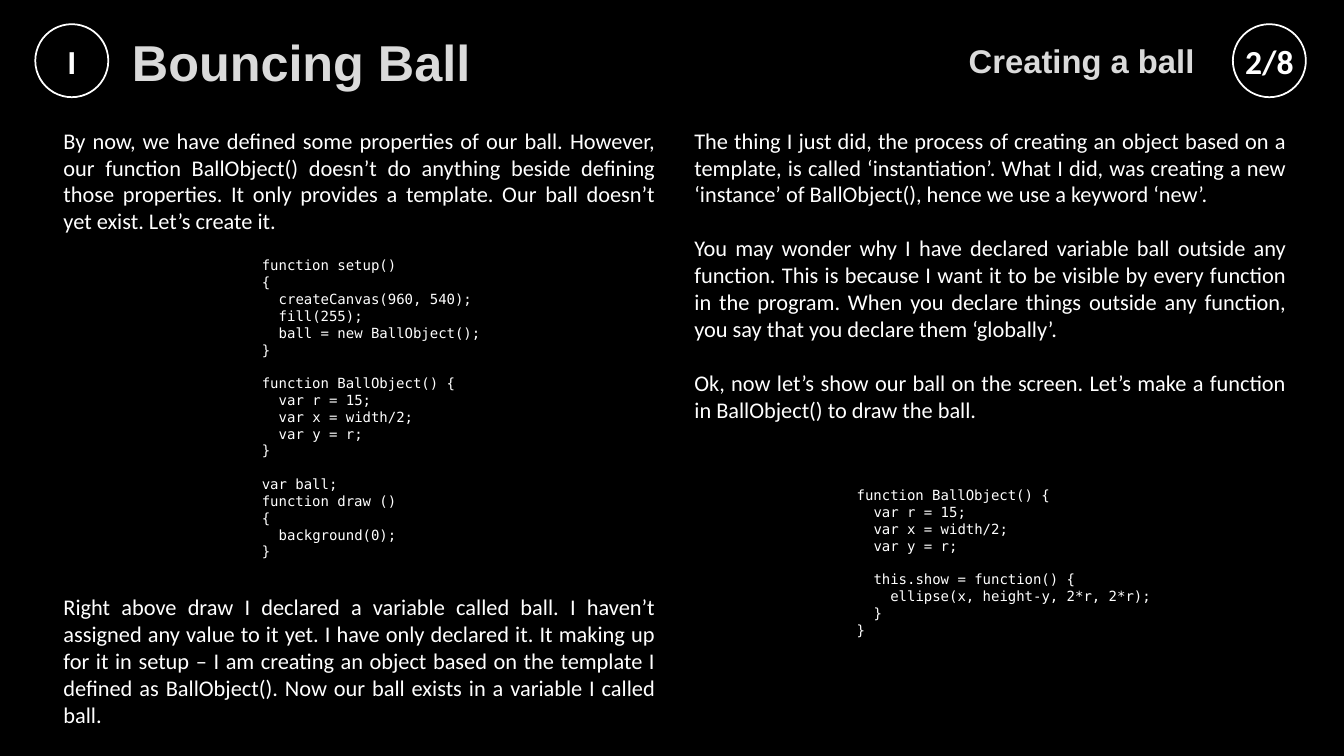
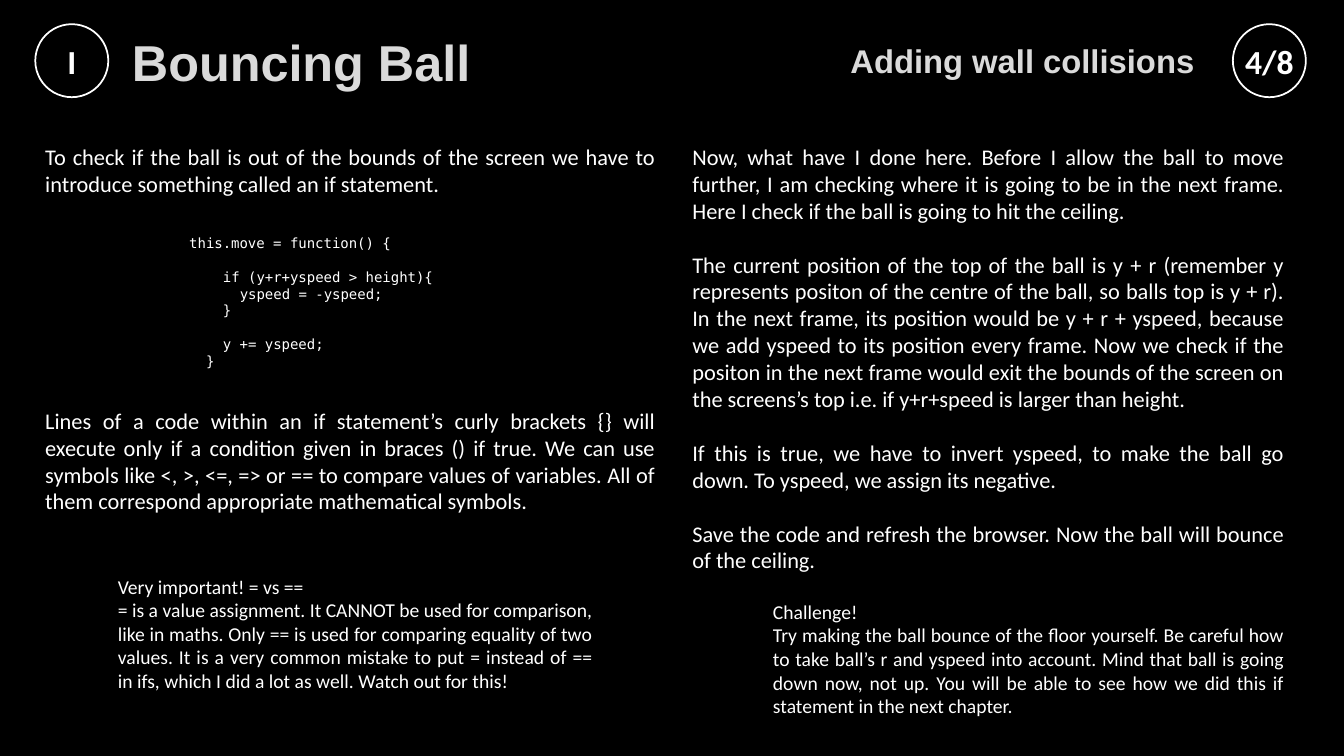
"""Build two lesson slides about a bouncing ball."""
import pptx
import pptx.dml.color
import pptx.enum.shapes
import pptx.enum.text
import pptx.util

Cm = pptx.util.Cm
Pt = pptx.util.Pt
Align = pptx.enum.text.PP_ALIGN
Fit = pptx.enum.text.MSO_AUTO_SIZE
Anchor = pptx.enum.text.MSO_ANCHOR

COLORS = {"back": "000000", "text": "FFFFFF", "head": "DADADA"}
HEAD, BODY, CODE = "Arial", "Calibri", "DejaVu Sans Mono"
CODE_STEP = Pt(6.02)
CODE_GAP = Pt(12)
BODY_GAP = Pt(19.3)

SETUP = """function setup()
{
  createCanvas(960, 540);
  fill(255);
  ball = new BallObject();
}

function BallObject() {
  var r = 15;
  var x = width/2;
  var y = r;
}

var ball;
function draw ()
{
  background(0);
}"""

SHOW = """function BallObject() {
  var r = 15;
  var x = width/2;
  var y = r;

  this.show = function() {
    ellipse(x, height-y, 2*r, 2*r);
  }
}"""

MOVE = """this.move = function() {

    if (y+r+yspeed > height){
      yspeed = -yspeed;
    }

    y += yspeed;
  }"""


def color(name):
    return pptx.dml.color.RGBColor.from_string(COLORS[name])


class Deck:
    """Holds the shared style and the current slide."""

    def __init__(self):
        self.prs = pptx.Presentation()
        self.prs.slide_width = Cm(33.87)
        self.prs.slide_height = Cm(19.05)
        fill = self.prs.slide_master.background.fill
        fill.solid()
        fill.fore_color.rgb = color("back")
        self.slide = None

    def page(self, topic, count):
        self.slide = self.prs.slides.add_slide(self.prs.slide_layouts[5])
        self.title("Bouncing Ball")
        self.badge(0.89, "I")
        self.badge(31.07, count)
        self.topic(topic)

    def run(self, par, text, size, font=BODY, tint="text", bold=False):
        run = par.add_run()
        run.text = text
        run.font.size = Pt(size)
        run.font.name = font
        run.font.bold = bold
        run.font.color.rgb = color(tint)

    def title(self, text):
        shape = self.slide.shapes.title
        shape.left, shape.top = Cm(3.07), Cm(0.86)
        shape.width, shape.height = Cm(26.21), Cm(1.35)
        frame = shape.text_frame
        frame.auto_size = Fit.NONE
        frame.vertical_anchor = Anchor.MIDDLE
        par = frame.paragraphs[0]
        par.alignment = Align.LEFT
        self.run(par, text, 36, HEAD, "head", True)

    def badge(self, left, text):
        kind = pptx.enum.shapes.MSO_SHAPE.OVAL
        shape = self.slide.shapes.add_shape(
            kind, Cm(left), Cm(0.61), Cm(1.84), Cm(1.84))
        shape.shadow.inherit = False
        shape.fill.background()
        shape.line.color.rgb = color("text")
        shape.line.width = Pt(1.25)
        frame = shape.text_frame
        frame.margin_left = frame.margin_right = 0
        frame.margin_top = frame.margin_bottom = 0
        frame.vertical_anchor = Anchor.MIDDLE
        frame.word_wrap = False
        par = frame.paragraphs[0]
        par.alignment = Align.CENTER
        self.run(par, text, 24, bold=True)

    def box(self, left, top, width, height):
        shape = self.slide.shapes.add_textbox(
            Cm(left), Cm(top), Cm(width), Cm(height))
        frame = shape.text_frame
        frame.word_wrap = True
        return frame

    def topic(self, text):
        frame = self.box(18.31, 0.41, 12.04, 2.24)
        frame.vertical_anchor = Anchor.MIDDLE
        par = frame.paragraphs[0]
        par.alignment = Align.RIGHT
        self.run(par, text, 23.4, HEAD, "head", True)

    def lines(self, frame, count):
        frame.auto_size = Fit.SHAPE_TO_FIT_TEXT
        for _ in range(count - 1):
            frame.add_paragraph()
        return frame.paragraphs

    def prose(self, place, texts, size=16, gap=BODY_GAP):
        pars = self.lines(self.box(*place), len(texts))
        for i, (par, text) in enumerate(zip(pars, texts)):
            par.alignment = Align.JUSTIFY
            par.space_before = gap if i else 0
            self.run(par, text, size)

    def note(self, place, texts):
        self.prose(place, texts, 14, 0)

    def code(self, place, source):
        rows = source.split("\n")
        pars = iter(self.lines(self.box(*place), sum(map(bool, rows))))
        gap = 0
        for row in rows:
            if not row:
                gap = CODE_GAP
                continue
            par = next(pars)
            text = row.lstrip()
            props = par._p.get_or_add_pPr()
            props.set("marL", str(int((len(row) - len(text)) * CODE_STEP)))
            props.set("indent", "0")
            par.alignment = Align.LEFT
            par.space_before = gap
            self.run(par, text, 10, CODE)
            gap = 0


def create(deck):
    deck.page("Creating a ball", "2/8")
    deck.prose((1.35, 3.07, 15.42, 3), [
        "By now, we have defined some properties of our ball. However, our "
        "function BallObject() doesn’t do anything beside defining those "
        "properties. It only provides a template. Our ball doesn’t yet "
        "exist. Let’s create it."])
    deck.code((6.35, 6.35, 6.68, 7.95), SETUP)
    deck.prose((17.25, 3.07, 15.42, 7.77), [
        "The thing I just did, the process of creating an object based on a "
        "template, is called ‘instantiation’. What I did, was creating a new "
        "‘instance’ of BallObject(), hence we use a keyword ‘new’.",
        "You may wonder why I have declared variable ball outside any "
        "function. This is because I want it to be visible by every function "
        "in the program. When you declare things outside any function, you "
        "say that you declare them ‘globally’.",
        "Ok, now let’s show our ball on the screen. Let’s make a function in "
        "BallObject() to draw the ball."])
    deck.prose((1.35, 14.83, 15.42, 3.68), [
        "Right above draw I declared a variable called ball. I haven’t "
        "assigned any value to it yet. I have only declared it. It making up "
        "for it in setup – I am creating an object based on the template I "
        "defined as BallObject(). Now our ball exists in a variable I called "
        "ball."])
    deck.code((21.34, 12.14, 9.04, 4.11), SHOW)


def collide(deck):
    deck.page("Adding wall collisions", "4/8")
    deck.prose((0.89, 3.48, 15.88, 1.63), [
        "To check if the ball is out of the bounds of the screen we have to "
        "introduce something called an if statement."])
    deck.prose((0.89, 10.13, 15.88, 3), [
        "Lines of a code within an if statement’s curly brackets {} will "
        "execute only if a condition given in braces () if true. We can use "
        "symbols like <, >, <=, => or == to compare values of variables. All "
        "of them correspond appropriate mathematical symbols."])
    deck.code((4.52, 5.79, 10.08, 3.68), MOVE)
    deck.note((2.72, 14.35, 12.47, 3.25), [
        "Very important! = vs ==",
        "= is a value assignment. It CANNOT be used for comparison, like in "
        "maths. Only == is used for comparing equality of two values. It is "
        "a very common mistake to put = instead of == in ifs, which I did a "
        "lot as well. Watch out for this!"])
    deck.prose((17.2, 3.48, 15.42, 11.2), [
        "Now, what have I done here. Before I allow the ball to move "
        "further, I am checking where it is going to be in the next frame. "
        "Here I check if the ball is going to hit the ceiling.",
        "The current position of the top of the ball is y + r (remember y "
        "represents positon of the centre of the ball, so balls top is "
        "y + r). In the next frame, its position would be y + r + yspeed, "
        "because we add yspeed to its position every frame. Now we check if "
        "the positon in the next frame would exit the bounds of the screen "
        "on the screens’s top i.e. if y+r+speed is larger than height.",
        "If this is true, we have to invert yspeed, to make the ball go "
        "down. To yspeed, we assign its negative.",
        "Save the code and refresh the browser. Now the ball will bounce of "
        "the ceiling."])
    deck.note((19.23, 14.99, 13.39, 3.25), [
        "Challenge!",
        "Try making the ball bounce of the floor yourself. Be careful how to "
        "take ball’s r and yspeed into account. Mind that ball is going down "
        "now, not up. You will be able to see how we did this if statement "
        "in the next chapter."])


def main():
    deck = Deck()
    create(deck)
    collide(deck)
    deck.prs.save("out.pptx")


if __name__ == "__main__":
    main()
